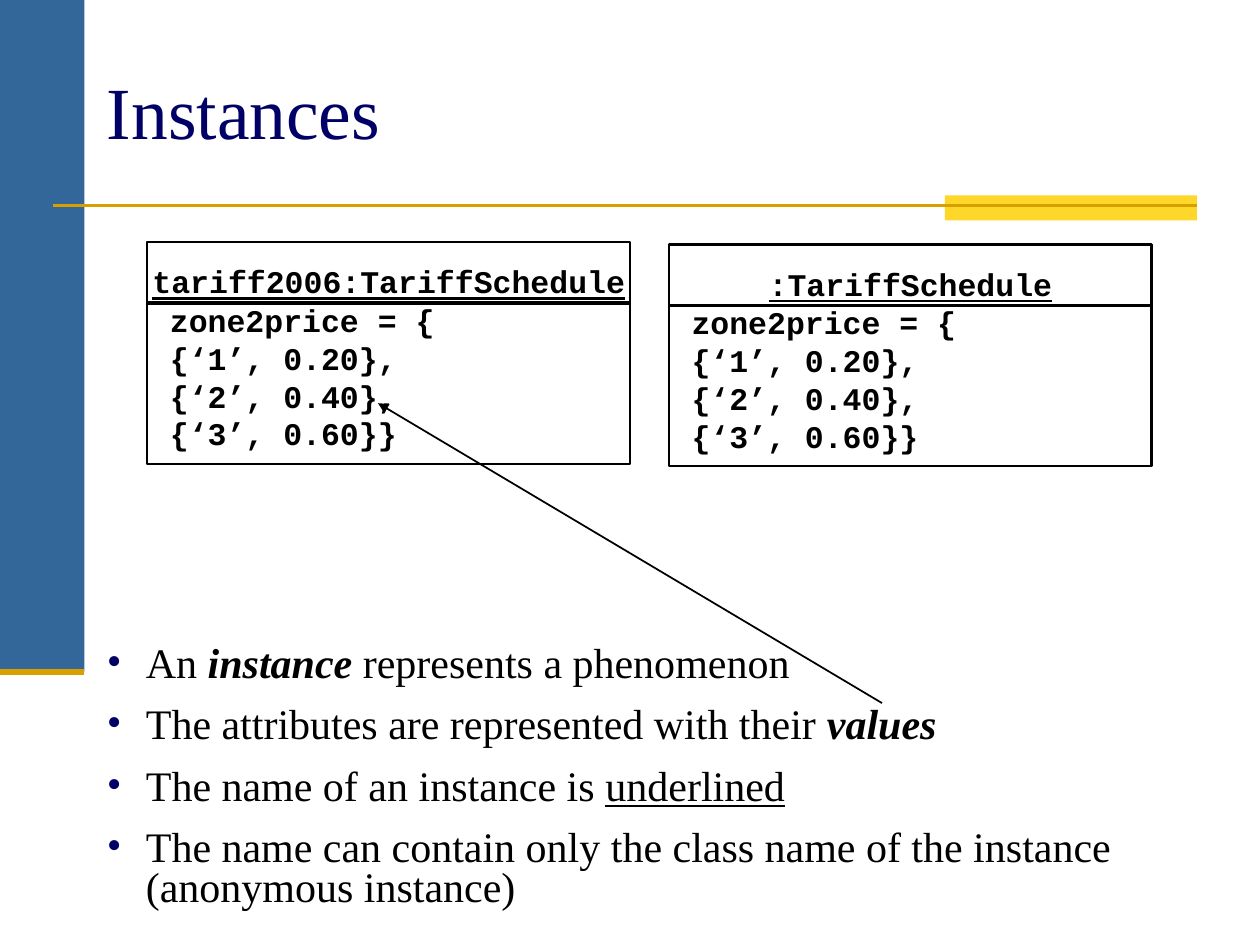
from lxml import etree
from pptx import Presentation
from pptx.dml.color import RGBColor
from pptx.enum.shapes import MSO_CONNECTOR, MSO_SHAPE
from pptx.enum.text import MSO_ANCHOR, PP_ALIGN
from pptx.oxml.ns import qn
from pptx.util import Inches, Pt

RECT, LINE = MSO_SHAPE.RECTANGLE, MSO_CONNECTOR.STRAIGHT
TOP, MIDDLE = MSO_ANCHOR.TOP, MSO_ANCHOR.MIDDLE
LEFT, CENTER = PP_ALIGN.LEFT, PP_ALIGN.CENTER

BLUE = RGBColor(0x33, 0x66, 0x99)
YELLOW = RGBColor(0xFF, 0xD7, 0x2B)
GOLD = RGBColor(0xD8, 0x9F, 0x00)
NAVY = RGBColor(0x00, 0x00, 0x66)
BLACK = RGBColor(0, 0, 0)

HEAD = {"name": "Times New Roman", "size": Pt(42)}
BODY = {"name": "Times New Roman", "size": Pt(24)}
CODE = {"name": "Courier New", "size": Pt(18), "bold": True}
NAME = {**CODE, "underline": True}
STRONG = {"bold": True, "italic": True}
UNDER = {"underline": True}
ITEM = {"line_spacing": 0.8, "space_before": Pt(6), "space_after": Pt(6)}

VALUES = ["zone2price = {", "{‘1’, 0.20},", "{‘2’, 0.40},", "{‘3’, 0.60}}"]
POINTS = [
    [("An ", {}), ("instance", STRONG), (" represents a phenomenon", {})],
    [("The attributes are represented with their ", {}), ("values", STRONG)],
    [("The name of an instance is ", {}), ("underlined", UNDER)],
    [("The name can contain only the class name of the instance "
      "(anonymous instance)", {})],
]


def apply(target, style):
    for key, value in style.items():
        setattr(target, key, value)


def add_rect(slide, box, fill=None, line=None):
    shape = slide.shapes.add_shape(RECT, *map(Inches, box))
    shape.shadow.inherit = False
    if fill is None:
        shape.fill.background()
    else:
        shape.fill.solid()
        shape.fill.fore_color.rgb = fill
    if line is None:
        shape.line.fill.background()
    else:
        shape.line.color.rgb = line
        shape.line.width = Pt(1.25)


def add_line(slide, start, end, color, width, arrow=False):
    line = slide.shapes.add_connector(LINE, *map(Inches, start + end))
    line.line.color.rgb = color
    line.line.width = Pt(width)
    if arrow:
        tail = etree.SubElement(line.line._get_or_add_ln(), qn("a:tailEnd"))
        tail.set("type", "triangle")
    etree.SubElement(line._element.spPr, qn("a:effectLst"))


def add_text(slide, box, paras, font, color=BLACK, anchor=TOP, align=LEFT,
             inset=(0.1, 0.05), wrap=True, layout=None):
    """Write paragraphs of (text, format) runs and return them."""
    frame = slide.shapes.add_textbox(*map(Inches, box)).text_frame
    side, edge = map(Inches, inset)
    apply(frame, {"word_wrap": wrap, "vertical_anchor": anchor,
                  "margin_left": side, "margin_right": side,
                  "margin_top": edge, "margin_bottom": edge})
    for i, runs in enumerate(paras):
        para = frame.add_paragraph() if i else frame.paragraphs[0]
        apply(para, {"alignment": align, **(layout or {})})
        for text, extra in runs:
            run = para.add_run()
            run.text = text
            apply(run.font, {**font, **extra})
            run.font.color.rgb = color
    return frame.paragraphs


def add_bullet(para, color):
    props = para._p.get_or_add_pPr()
    props.set("marL", str(Inches(0.31)))
    props.set("indent", str(-Inches(0.31)))
    tint = etree.SubElement(props, qn("a:buClr"))
    etree.SubElement(tint, qn("a:srgbClr")).set("val", str(color))
    etree.SubElement(props, qn("a:buFont")).set("typeface", BODY["name"])
    etree.SubElement(props, qn("a:buChar")).set("char", "•")


def add_object(slide, left, top, name):
    """Draw an instance: its name above its attribute values."""
    add_text(slide, (left + 0.08, top + 0.42, 3.8, 1.3),
             [[(line, {})] for line in VALUES], CODE)
    add_rect(slide, (left, top, 3.83, 0.49), line=BLACK)
    # Each letter takes 0.15; the rest is slack to keep one line
    width = 0.15 * len(name) + 0.04
    add_text(slide, (left + (3.83 - width) / 2, top + 0.16, width, 0.3),
             [[(name, {})]], NAME, align=CENTER, inset=(0, 0), wrap=False)
    add_rect(slide, (left, top + 0.48, 3.83, 1.28), line=BLACK)


def add_frame(slide):
    add_rect(slide, (0, 0, 0.67, 5.33), BLUE)
    add_rect(slide, (7.5, 1.55, 2, 0.2), YELLOW)
    add_line(slide, (0.42, 1.63), (9.5, 1.63), GOLD, 1.5)
    add_line(slide, (0, 5.33), (0.67, 5.33), GOLD, 3.5)


def main():
    deck = Presentation()
    deck.slide_width, deck.slide_height = Inches(10), Inches(7.5)
    slide = deck.slides.add_slide(deck.slide_layouts[6])

    # Side band and rules
    add_frame(slide)

    # Title and bullet list
    add_text(slide, (0.75, 0.25, 8.5, 1.25), [[("Instances", {})]],
             HEAD, NAVY, MIDDLE)
    points = add_text(slide, (0.75, 5.08, 8.5, 2.25), POINTS, BODY,
                      layout=ITEM)
    for para in points:
        add_bullet(para, NAVY)

    # Named and anonymous instance
    add_object(slide, 1.17, 1.92, "tariff2006:TariffSchedule")
    add_object(slide, 5.31, 1.94, ":TariffSchedule")

    # Arrow from the word to a value
    add_line(slide, (7, 5.58), (3, 3.2), BLACK, 1, arrow=True)

    deck.save("out.pptx")


if __name__ == "__main__":
    main()
